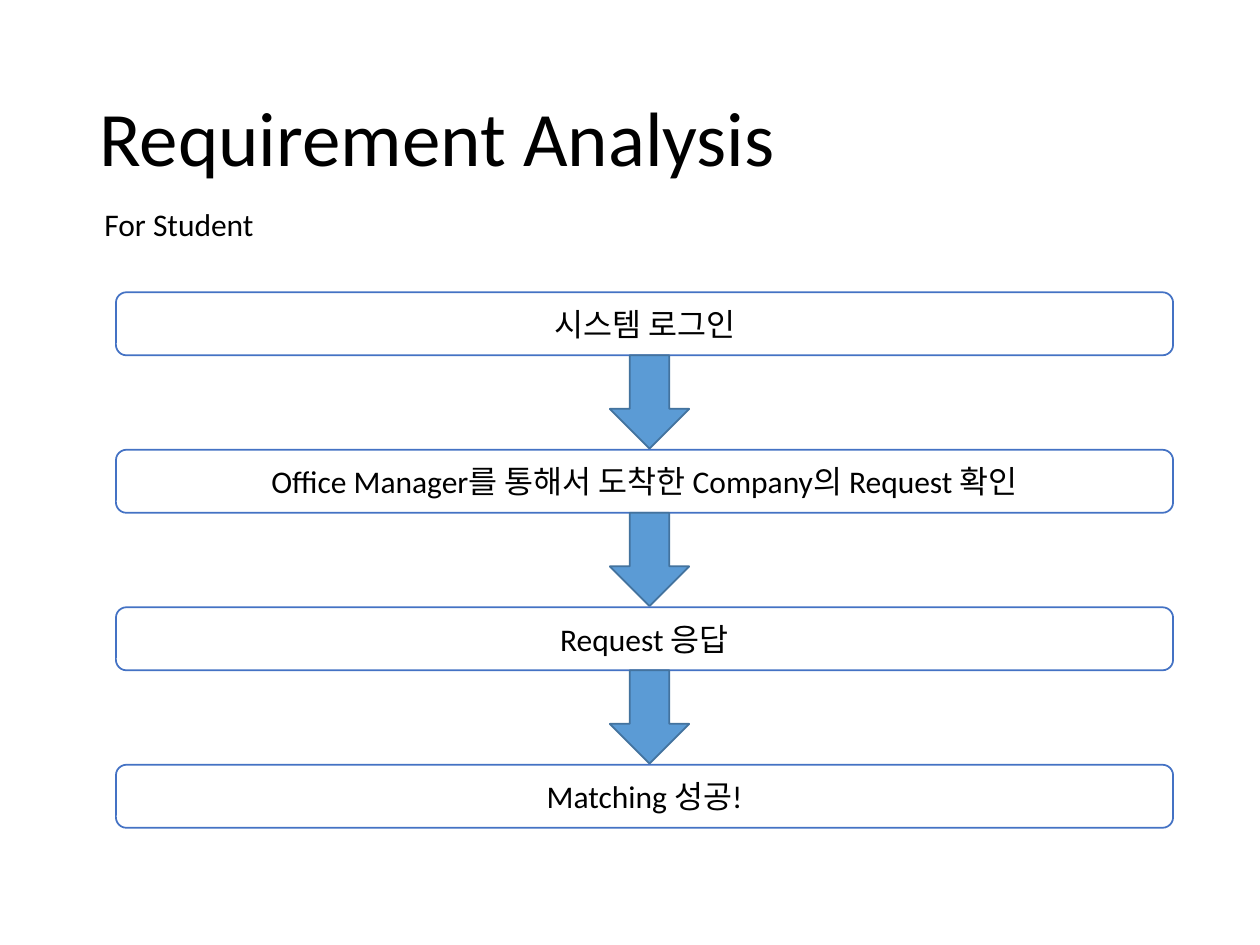
from dataclasses import dataclass

from pptx import Presentation
from pptx.dml.color import RGBColor
from pptx.enum import shapes, text
from pptx.util import Inches, Pt

COLORS = {
    "text": "000000",
    "step_fill": "FFFFFF",
    "step_line": "4472C4",
    "arrow_fill": "5B9BD5",
    "arrow_line": "43739E",
}
FONT = "Calibri"
STEPS = [
    "시스템 로그인",
    "Office Manager를 통해서 도착한 Company의 Request 확인",
    "Request 응답",
    "Matching 성공!",
]
FIRST_TOP, STEP_PITCH = 2.32, 1.25


@dataclass
class Box:
    left: float
    top: float
    width: float
    height: float

    def emu(self) -> tuple:
        return tuple(Inches(v) for v in (self.left, self.top, self.width, self.height))


def color(name: str) -> RGBColor:
    return RGBColor.from_string(COLORS[name])


def write(frame, words: str, size: float, align=text.PP_ALIGN.LEFT):
    """Put one formatted paragraph in a text frame and return it."""
    frame.text = words
    paragraph = frame.paragraphs[0]
    paragraph.alignment = align
    font = paragraph.runs[0].font
    font.name, font.size = FONT, Pt(size)
    font.color.rgb = color("text")
    return paragraph


def add_block(slide, kind, box: Box, part: str):
    """Draw a filled, outlined shape in the colours of its part."""
    block = slide.shapes.add_shape(kind, *box.emu())
    block.shadow.inherit = False
    block.fill.solid()
    block.fill.fore_color.rgb = color(f"{part}_fill")
    block.line.color.rgb = color(f"{part}_line")
    block.line.width = Pt(1)
    return block


def add_step(slide, top: float, words: str) -> None:
    step = add_block(slide, shapes.MSO_SHAPE.FLOWCHART_ALTERNATE_PROCESS,
                     Box(0.92, top, 8.39, 0.5), "step")
    step.text_frame.vertical_anchor = text.MSO_ANCHOR.MIDDLE
    write(step.text_frame, words, 18, text.PP_ALIGN.CENTER)


def add_arrow(slide, top: float) -> None:
    add_block(slide, shapes.MSO_SHAPE.DOWN_ARROW, Box(4.84, top, 0.63, 0.74), "arrow")


def main() -> None:
    deck = Presentation()
    deck.slide_width, deck.slide_height = Inches(10), Inches(7.5)
    slide = deck.slides.add_slide(deck.slide_layouts[6])

    # Heading
    title = slide.shapes.add_textbox(*Box(0.69, 0.4, 8.62, 1.45).emu()).text_frame
    title.word_wrap = True
    title.vertical_anchor = text.MSO_ANCHOR.MIDDLE
    write(title, "Requirement Analysis", 44).line_spacing = 0.9

    # Audience
    audience = slide.shapes.add_textbox(*Box(0.73, 1.58, 1.4, 0.4).emu()).text_frame
    audience.word_wrap = False
    audience.auto_size = text.MSO_AUTO_SIZE.SHAPE_TO_FIT_TEXT
    write(audience, "For Student", 18)

    # Flow: each step but the last is followed by an arrow
    for index, words in enumerate(STEPS):
        top = FIRST_TOP + index * STEP_PITCH
        add_step(slide, top, words)
        if index < len(STEPS) - 1:
            add_arrow(slide, top + 0.5)

    deck.save("out.pptx")


if __name__ == "__main__":
    main()
